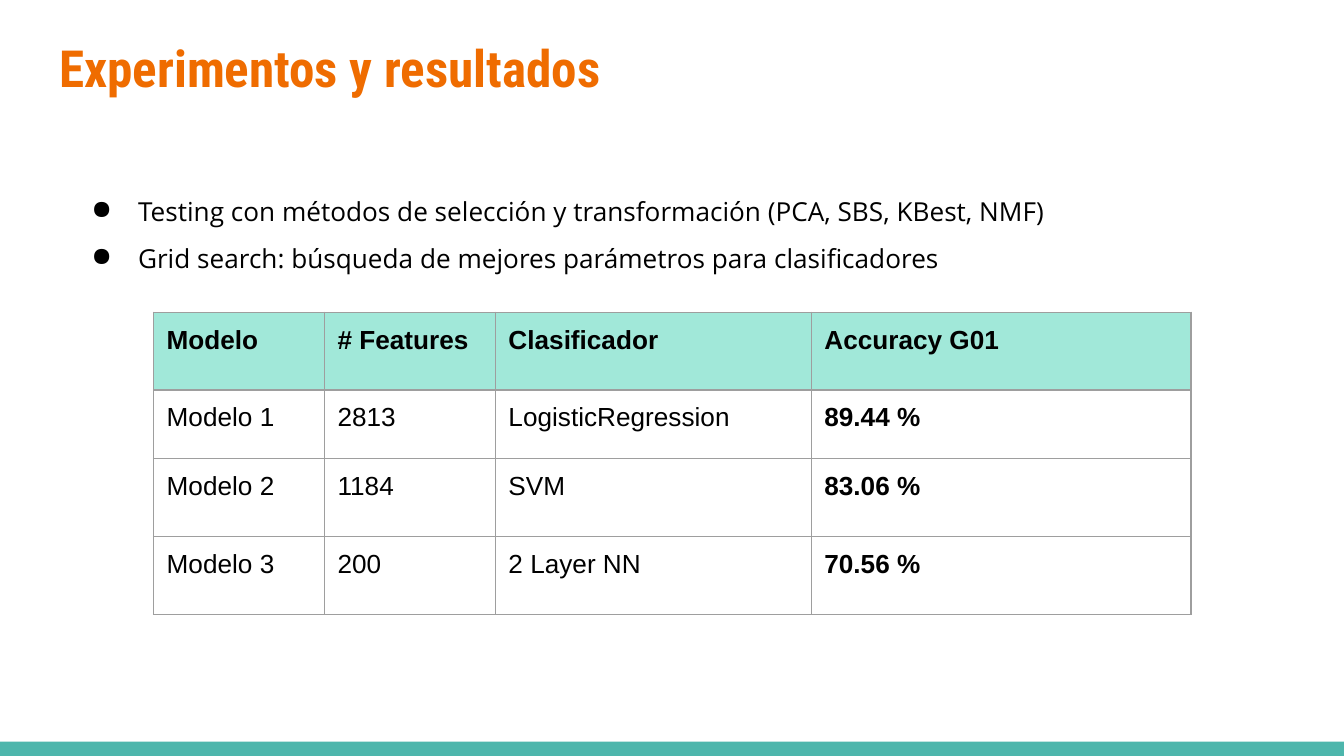
from pptx import Presentation, util as u
from pptx.dml.color import RGBColor
from pptx.enum import shapes, text
from pptx.oxml import parse_xml
from pptx.oxml.ns import nsdecls

COLORS = {"title": "EF6C00", "text": "000000", "strip": "4DB6AC",
          "header": "A1E8D9", "border": "9E9E9E"}
SLIDE_W, SLIDE_H = 25.4, 14.29
INSET = 0.25
FORMATS = {
    "title": {"name": "Roboto Condensed", "size": u.Pt(27.4), "bold": True},
    "bullet": {"name": "Open Sans", "size": u.Pt(14), "bold": False},
    "cell": {"name": "Arial", "size": u.Pt(14), "bold": False},
    "strong": {"name": "Arial", "size": u.Pt(14), "bold": True},
}
BULLETS = [
    "Testing con métodos de selección y transformación (PCA, SBS, KBest, NMF)",
    "Grid search: búsqueda de mejores parámetros para clasificadores",
]
RESULTS = [
    ["Modelo", "# Features", "Clasificador", "Accuracy G01"],
    ["Modelo 1", "2813", "LogisticRegression", "89.44 %"],
    ["Modelo 2", "1184", "SVM", "83.06 %"],
    ["Modelo 3", "200", "2 Layer NN", "70.56 %"],
]
COL_WIDTHS = [3.23, 3.23, 5.97, 7.18]
ROW_HEIGHTS = [1.47, 1.3, 1.47, 1.47]


def rgb(key):
    return RGBColor.from_string(COLORS[key])


def write(p, words, style, color="text"):
    r = p.add_run()
    r.text = words
    for name, value in FORMATS[style].items():
        setattr(r.font, name, value)
    r.font.color.rgb = rgb(color)


def set_insets(obj):
    for side in ("left", "top", "right", "bottom"):
        setattr(obj, f"margin_{side}", u.Cm(INSET))


def place(sp, box):
    for name, value in zip(("left", "top", "width", "height"), box):
        setattr(sp, name, u.Cm(value))


def add_strip(s, box):
    sp = s.shapes.add_shape(shapes.MSO_SHAPE.RECTANGLE, *map(u.Cm, box))
    sp.shadow.inherit = False
    sp.fill.solid()
    sp.fill.fore_color.rgb = rgb("strip")
    sp.line.fill.background()


def set_title(s, box, words):
    sp = s.shapes.title
    place(sp, box)
    tf = sp.text_frame
    set_insets(tf)
    tf.vertical_anchor = text.MSO_ANCHOR.TOP
    tf.auto_size = text.MSO_AUTO_SIZE.NONE
    p = tf.paragraphs[0]
    p.alignment = text.PP_ALIGN.LEFT
    write(p, words, "title", "title")


def add_bullets(s, box, lines):
    tf = s.shapes.add_textbox(*map(u.Cm, box)).text_frame
    tf.word_wrap = True
    tf.auto_size = text.MSO_AUTO_SIZE.SHAPE_TO_FIT_TEXT
    set_insets(tf)
    for i, line in enumerate(lines):
        p = tf.add_paragraph() if i else tf.paragraphs[0]
        p.line_spacing = 1.5
        pPr = p._p.get_or_add_pPr()
        pPr.set("marL", str(u.Cm(1.27)))
        pPr.set("indent", str(u.Cm(-0.88)))
        pPr.append(parse_xml(f'<a:buClr {nsdecls("a")}>'
                             f'<a:srgbClr val="{COLORS["text"]}"/></a:buClr>'))
        pPr.append(parse_xml(f'<a:buChar {nsdecls("a")} char="●"/>'))
        write(p, line, "bullet")


def add_borders(cell):
    tcPr = cell._tc.get_or_add_tcPr()
    for side in "LRTB":
        tcPr.append(parse_xml(
            f'<a:ln{side} {nsdecls("a")} w="{u.Pt(0.75)}"><a:solidFill>'
            f'<a:srgbClr val="{COLORS["border"]}"/></a:solidFill></a:ln{side}>'))


def add_results(s, left, top, rows):
    size = (sum(COL_WIDTHS), sum(ROW_HEIGHTS))
    table = s.shapes.add_table(len(rows), len(COL_WIDTHS),
                               *map(u.Cm, (left, top, *size))).table
    table.first_row = table.horz_banding = False
    for column, width in zip(table.columns, COL_WIDTHS):
        column.width = u.Cm(width)
    for i, (row, height) in enumerate(zip(rows, ROW_HEIGHTS)):
        table.rows[i].height = u.Cm(height)
        for j, words in enumerate(row):
            cell = table.cell(i, j)
            set_insets(cell)
            add_borders(cell)
            if i == 0:
                cell.fill.solid()
                cell.fill.fore_color.rgb = rgb("header")
            else:
                cell.fill.background()
            strong = i == 0 or j == len(row) - 1
            write(cell.text_frame.paragraphs[0], words,
                  "strong" if strong else "cell")


def main():
    prs = Presentation()
    prs.slide_width, prs.slide_height = u.Cm(SLIDE_W), u.Cm(SLIDE_H)
    s = prs.slides.add_slide(prs.slide_layouts[5])
    add_strip(s, (0, SLIDE_H - 0.27, SLIDE_W, 0.27))
    set_title(s, (0.87, 0.43, 23.67, 1.96), "Experimentos y resultados")
    add_results(s, 2.9, 5.9, RESULTS)
    add_bullets(s, (1.09, 3.15, 21.41, 2.01), BULLETS)
    prs.save("out.pptx")


if __name__ == "__main__":
    main()
